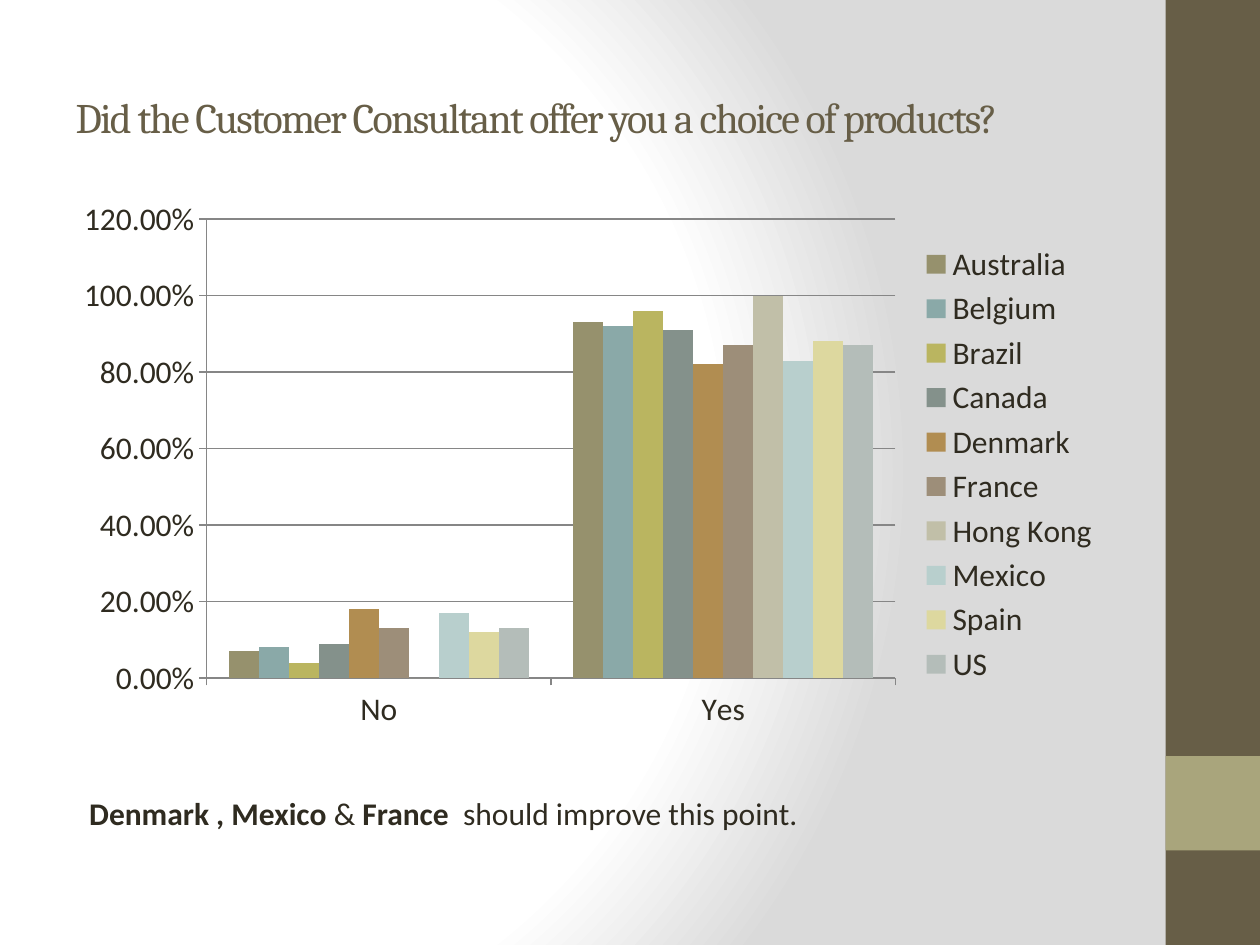
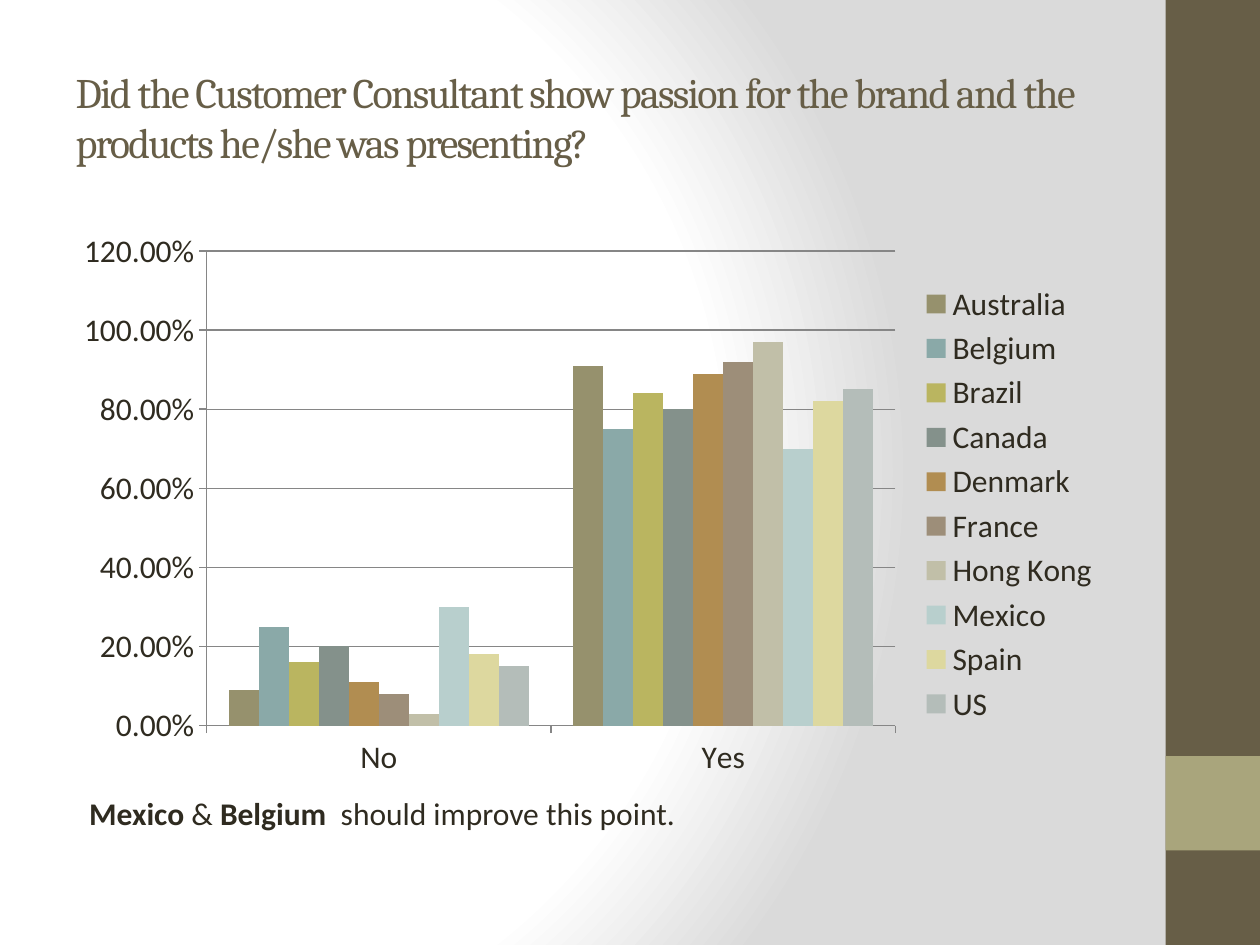
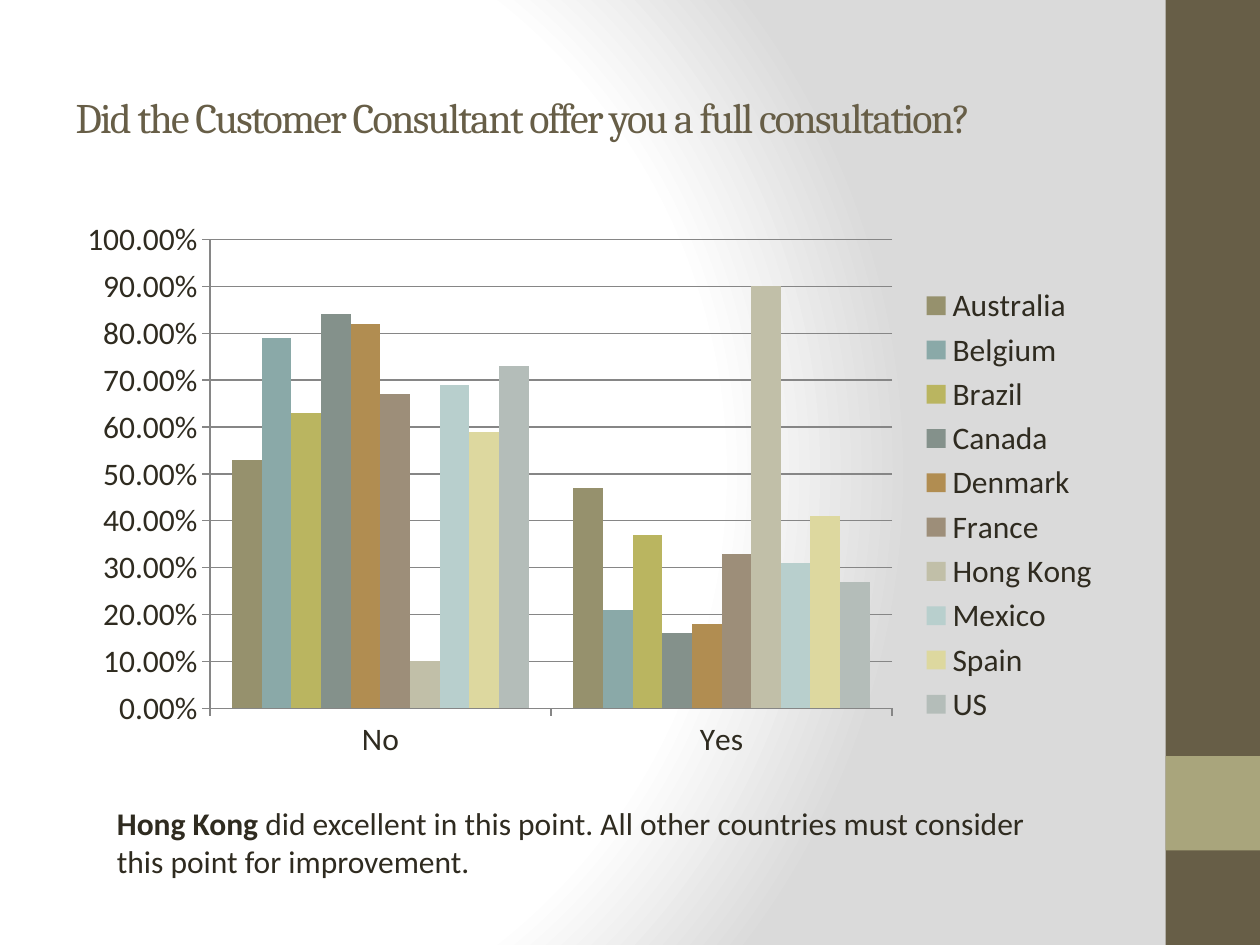
from lxml import etree
from pptx import Presentation
from pptx.chart.data import CategoryChartData
from pptx.dml.color import RGBColor
from pptx.enum.chart import XL_CHART_TYPE as ChartType, XL_LEGEND_POSITION as LegendPosition, XL_TICK_MARK as TickMark
from pptx.enum.shapes import MSO_SHAPE as Shape
from pptx.enum.text import MSO_ANCHOR as Anchor, MSO_AUTO_SIZE as AutoSize, PP_ALIGN as Align
from pptx.oxml import parse_xml
from pptx.oxml.ns import nsdecls, qn
from pptx.util import Inches, Pt

BROWN = RGBColor(0x67, 0x5E, 0x47)
SAGE = RGBColor(0xA9, 0xA5, 0x7C)
INK = RGBColor(0x2F, 0x2B, 0x20)
AXIS_GRAY = RGBColor(0x86, 0x86, 0x86)
COUNTRY_COLORS = {
    "Australia": RGBColor(0x96, 0x91, 0x6D),
    "Belgium": RGBColor(0x8A, 0xA9, 0xA8),
    "Brazil": RGBColor(0xBA, 0xB5, 0x60),
    "Canada": RGBColor(0x84, 0x91, 0x8B),
    "Denmark": RGBColor(0xB1, 0x8D, 0x51),
    "France": RGBColor(0x9D, 0x8E, 0x79),
    "Hong Kong": RGBColor(0xC1, 0xBF, 0xA8),
    "Mexico": RGBColor(0xB8, 0xCF, 0xCD),
    "Spain": RGBColor(0xDD, 0xD8, 0x9F),
    "US": RGBColor(0xB4, 0xBD, 0xB9),
}
BACKGROUND_STOPS = ((0, "FFFFFF"), (75000, "FFFFFF"), (100000, "DADADA"))
TITLE_FONT = "Cambria"
BODY_FONT = "Calibri"
TITLE_ONLY = 5

SURVEY = [
    {
        "question": "Did the Customer Consultant offer you a choice of products?",
        "no_shares": (0.07, 0.08, 0.04, 0.09, 0.18, 0.13, 0, 0.17, 0.12, 0.13),
        "chart_box": (0.5, 1.5, 8.33, 4.37),
        "scale": (1.2, 0.2),
        "plot": None,
        "note": [("Denmark , Mexico ", True), ("&", False), (" France  ", True),
                 ("should improve this point.", False)],
        "note_box": (0.61, 6.25, 8.33, 0.4),
    },
    {
        "question": "Did the Customer Consultant show passion for the brand and the "
                    "products he/she was presenting?",
        "no_shares": (0.09, 0.25, 0.16, 0.2, 0.11, 0.08, 0.03, 0.3, 0.18, 0.15),
        "chart_box": (0.5, 1.75, 8.33, 4.5),
        "scale": (1.2, 0.2),
        "plot": None,
        "note": [("Mexico ", True), ("& ", False), ("Belgium  ", True),
                 ("should improve this point.", False)],
        "note_box": (0.61, 6.25, 8.33, 0.4),
    },
    {
        "question": "Did the Customer Consultant offer you a full consultation?",
        "no_shares": (0.53, 0.79, 0.63, 0.84, 0.82, 0.67, 0.1, 0.69, 0.59, 0.73),
        "chart_box": (0.5, 1.75, 8.33, 4.5),
        "scale": (1, 0.1),
        "plot": (0.14, 0.03, 0.65, 0.83),
        "note": [("Hong Kong ", True),
                 ("did excellent in this point. All other countries must consider "
                  "this point for improvement.", False)],
        "note_box": (0.83, 6.33, 7.67, 0.71),
    },
]


def inches(box):
    return [Inches(length) for length in box]


class SurveyDeck:
    def __init__(self):
        self.presentation = Presentation()
        self.presentation.slide_width = Inches(10)
        self.presentation.slide_height = Inches(7.5)
        self.slide = None
        self.set_background()

    def set_background(self):
        master = self.presentation.slide_master
        master.background.fill.gradient()
        gradient = next(master.element.iter(qn("a:gradFill")))
        stops = "".join(f'<a:gs pos="{position}"><a:srgbClr val="{color}"/></a:gs>'
                        for position, color in BACKGROUND_STOPS)
        gradient.getparent().replace(gradient, parse_xml(
            f'<a:gradFill {nsdecls("a")} rotWithShape="1"><a:gsLst>{stops}</a:gsLst>'
            '<a:path path="circle"><a:fillToRect l="20000" t="50000" r="100000" b="50000"/>'
            '</a:path></a:gradFill>'))

    def add_slide(self):
        layout = self.presentation.slide_layouts[TITLE_ONLY]
        self.slide = self.presentation.slides.add_slide(layout)
        self.add_band((9.25, 0, 0.75, 7.5), BROWN)
        self.add_band((9.25, 6, 0.75, 0.75), SAGE)

    def add_band(self, box, color):
        band = self.slide.shapes.add_shape(Shape.RECTANGLE, *inches(box))
        band.shadow.inherit = False
        band.fill.solid()
        band.fill.fore_color.rgb = color
        band.line.fill.background()

    def style_font(self, font, name, size, color):
        font.name = name
        font.size = Pt(size)
        font.color.rgb = color

    def set_title(self, text):
        title = self.slide.shapes.title
        title.left, title.top, title.width, title.height = inches((0.5, 0.3, 8.33, 1.25))
        frame = title.text_frame
        frame.text = text
        frame.word_wrap = True
        frame.auto_size = AutoSize.NONE
        frame.vertical_anchor = Anchor.MIDDLE
        paragraph = frame.paragraphs[0]
        paragraph.alignment = Align.LEFT
        self.style_font(paragraph.font, TITLE_FONT, 24, BROWN)
        next(title.element.iter(qn("a:defRPr"))).set("spc", "-100")

    def add_note(self, box, runs):
        frame = self.slide.shapes.add_textbox(*inches(box)).text_frame
        frame.word_wrap = True
        frame.auto_size = AutoSize.SHAPE_TO_FIT_TEXT
        paragraph = frame.paragraphs[0]
        self.style_font(paragraph.font, BODY_FONT, 18, INK)
        for text, bold in runs:
            run = paragraph.add_run()
            run.text = text
            run.font.bold = bold

    def add_answer_chart(self, box, no_shares, scale, plot):
        data = CategoryChartData(number_format="0.00%")
        data.categories = ["No", "Yes"]
        for country, share in zip(COUNTRY_COLORS, no_shares):
            data.add_series(country, (share, round(1 - share, 2)))
        chart = self.slide.shapes.add_chart(
            ChartType.COLUMN_CLUSTERED, *inches(box), data).chart
        self.style_font(chart.font, BODY_FONT, 18, INK)
        chart.has_title = False
        chart.has_legend = True
        chart.legend.position = LegendPosition.RIGHT
        chart.legend.include_in_layout = False
        bars = chart.plots[0]
        bars.gap_width = 150
        bars.vary_by_categories = False
        for series, color in zip(bars.series, COUNTRY_COLORS.values()):
            series.invert_if_negative = False
            series.format.fill.solid()
            series.format.fill.fore_color.rgb = color
        self.style_axes(chart, scale)
        if plot:
            self.place_plot(chart, plot)

    def style_axes(self, chart, scale):
        values = chart.value_axis
        values.minimum_scale = 0
        values.maximum_scale, values.major_unit = scale
        values.has_major_gridlines = True
        values.tick_labels.number_format = "0.00%"
        values.tick_labels.number_format_is_linked = False
        for axis in (values, chart.category_axis):
            axis.major_tick_mark = TickMark.OUTSIDE
            axis.minor_tick_mark = TickMark.NONE
        for line in (values.format.line, values.major_gridlines.format.line,
                     chart.category_axis.format.line):
            line.color.rgb = AXIS_GRAY
            line.width = Pt(0.75)

    def place_plot(self, chart, plot):
        area = next(chart.element.iter(qn("c:plotArea")))
        for layout in area.findall(qn("c:layout")):
            area.remove(layout)
        layout = parse_xml(f'<c:layout {nsdecls("c")}><c:manualLayout/></c:layout>')
        settings = [("layoutTarget", "inner"), ("xMode", "edge"), ("yMode", "edge")]
        settings += zip("xywh", plot)
        for name, value in settings:
            etree.SubElement(layout[0], qn(f"c:{name}")).set("val", str(value))
        area.insert(0, layout)


def main():
    deck = SurveyDeck()
    for page in SURVEY:
        deck.add_slide()
        deck.set_title(page["question"])
        deck.add_answer_chart(page["chart_box"], page["no_shares"], page["scale"], page["plot"])
        deck.add_note(page["note_box"], page["note"])
    deck.presentation.save("out.pptx")


if __name__ == "__main__":
    main()
